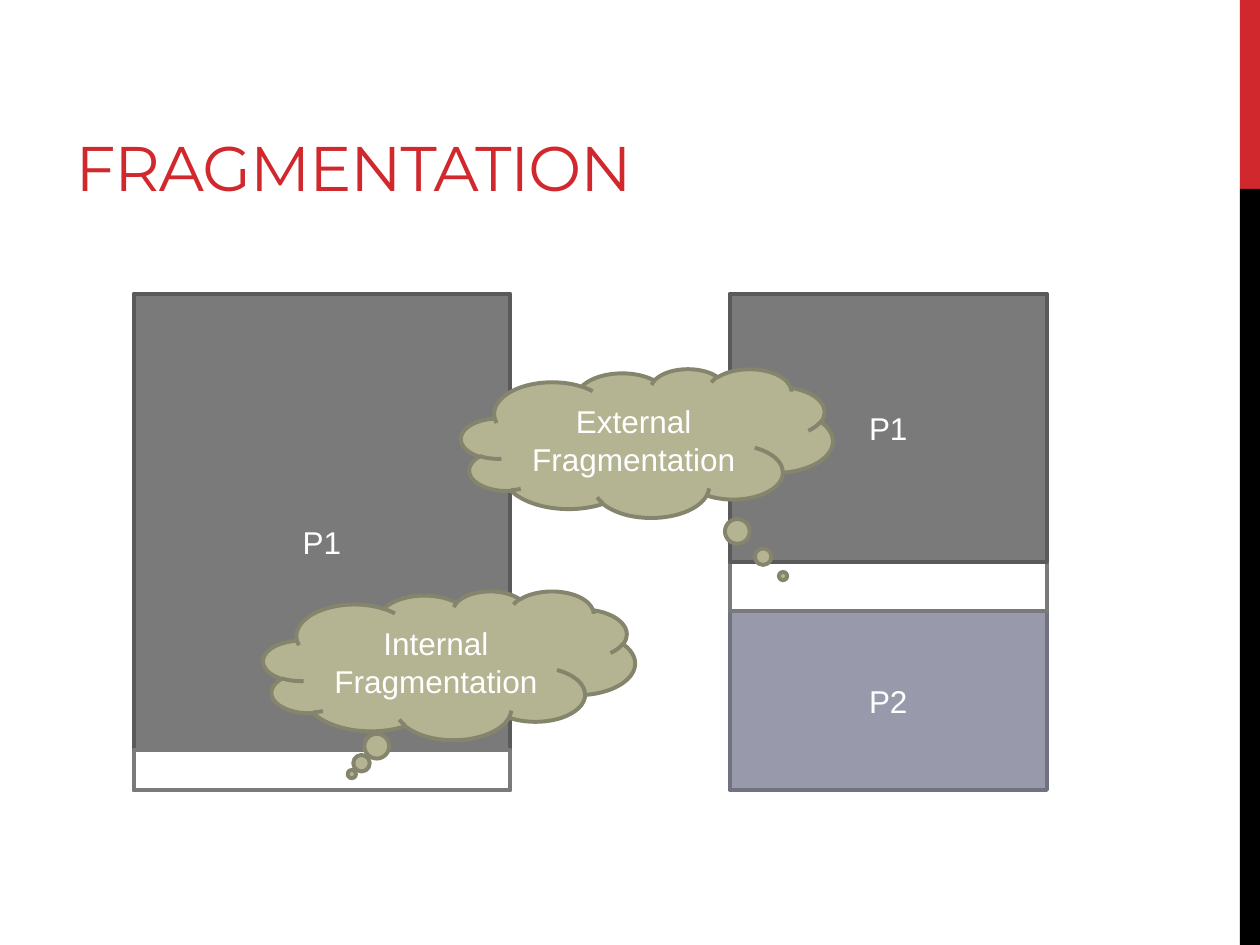
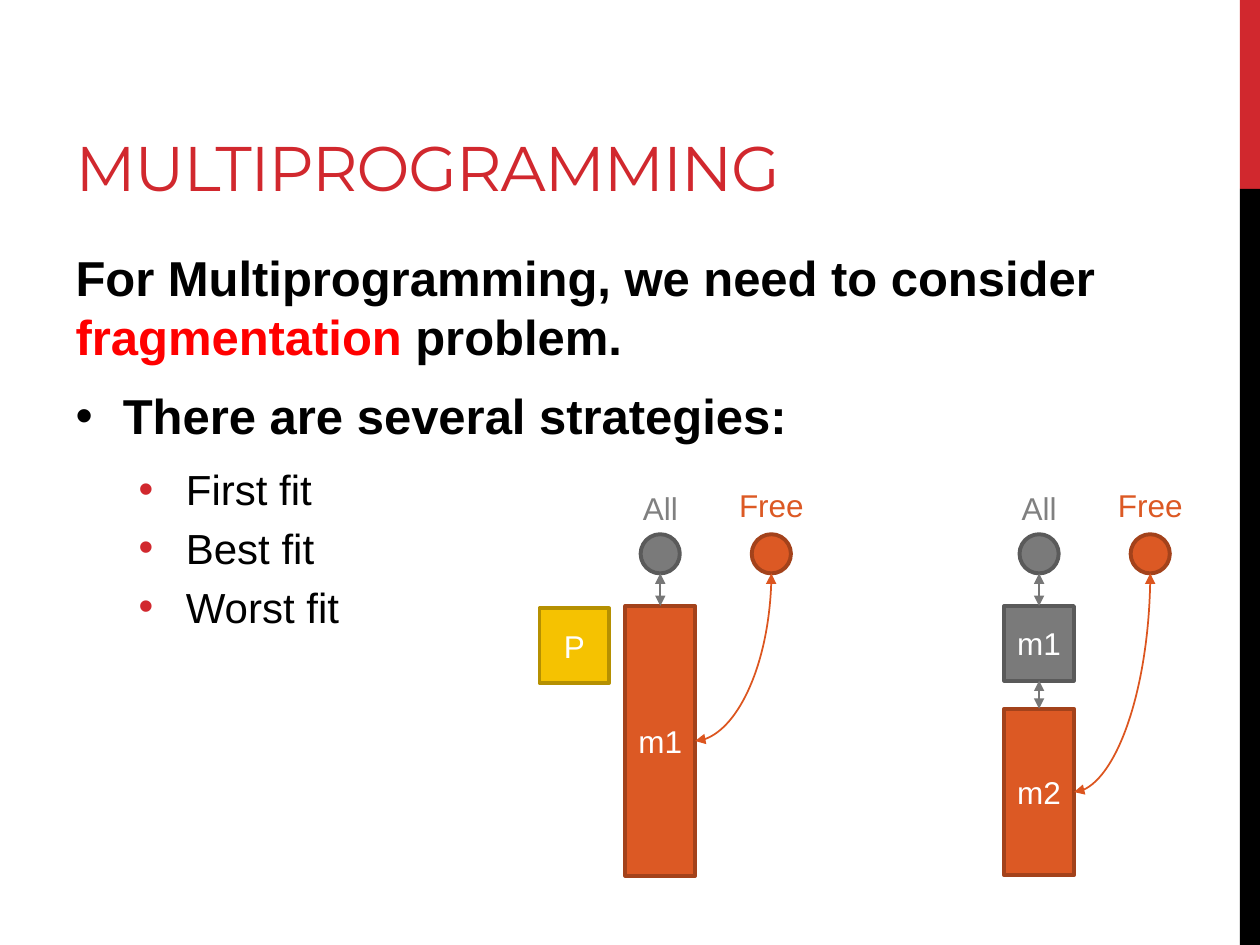
from dataclasses import dataclass
from typing import Any, NamedTuple

from lxml import etree
from pptx import Presentation
from pptx.dml.color import RGBColor
from pptx.enum import shapes as kinds, text as txt
from pptx.oxml.ns import qn
from pptx.util import Pt

# Colours and fonts
RED = RGBColor(0xD1, 0x28, 0x2E)
ALERT = RGBColor(0xFF, 0x00, 0x00)
BLACK = RGBColor(0x00, 0x00, 0x00)
WHITE = RGBColor(0xFF, 0xFF, 0xFF)
GREY = RGBColor(0x7A, 0x7A, 0x7A)
DARK_GREY = RGBColor(0x5A, 0x5A, 0x5A)
ARROW_GREY = RGBColor(0x77, 0x77, 0x77)
LABEL_GREY = RGBColor(0x80, 0x80, 0x80)
ORANGE = RGBColor(0xDC, 0x59, 0x24)
DARK_ORANGE = RGBColor(0xA3, 0x42, 0x1B)
ARROW_ORANGE = RGBColor(0xDC, 0x55, 0x1F)
HEADING_FONT, BODY_FONT = "Montserrat", "Arial"


class Paint(NamedTuple):
    fill: RGBColor
    line: RGBColor | None = None


USED = Paint(GREY, DARK_GREY)
FREE = Paint(ORANGE, DARK_ORANGE)
HOLE = Paint(WHITE, GREY)
THOUGHT = Paint(RGBColor(0xB4, 0xB3, 0x92), RGBColor(0x85, 0x84, 0x6C))
SECOND = Paint(RGBColor(0x98, 0x9A, 0xAC), RGBColor(0x70, 0x72, 0x7F))
PROCESS = Paint(RGBColor(0xF5, 0xC2, 0x01), RGBColor(0xB5, 0x90, 0x01))


@dataclass
class Box:
    """A filled shape; lengths in points."""
    left: float
    top: float
    width: float
    height: float
    paint: Paint
    label: str = ""
    kind: Any = kinds.MSO_SHAPE.RECTANGLE
    tail: tuple[float, ...] = ()


class Block(NamedTuple):
    label: str
    top: float
    height: float
    paint: Paint


class Item(NamedTuple):
    runs: list[tuple[str, RGBColor]]
    size: float
    bold: bool
    level: int = 0
    margin: float = 0
    bullet: RGBColor | None = None
    after: float = 0


# Drawing helpers
def apply(target: Any, values: dict[str, Any]) -> None:
    for key, value in values.items():
        setattr(target, key, value)


def add_run(paragraph: Any, words: str, color: RGBColor, size: float = 18,
            bold: bool = False, name: str = BODY_FONT) -> Any:
    run = paragraph.add_run()
    run.text = words
    apply(run.font, {"name": name, "size": Pt(size), "bold": bold})
    run.font.color.rgb = color
    return run


def add_box(parent: Any, box: Box) -> Any:
    shape = parent.add_shape(box.kind, Pt(box.left), Pt(box.top), Pt(box.width), Pt(box.height))
    shape.shadow.inherit = False
    shape.fill.solid()
    shape.fill.fore_color.rgb = box.paint.fill
    if box.paint.line is None:
        shape.line.fill.background()
    else:
        shape.line.color.rgb = box.paint.line
        shape.line.width = Pt(2.25)
    for index, value in enumerate(box.tail):
        shape.adjustments[index] = value
    if box.label:
        frame = shape.text_frame
        apply(frame, {"word_wrap": True, "vertical_anchor": txt.MSO_ANCHOR.MIDDLE})
        frame.paragraphs[0].alignment = txt.PP_ALIGN.CENTER
        add_run(frame.paragraphs[0], box.label, WHITE)
    return shape


def add_arrow(parent: Any, start: tuple[float, float], end: tuple[float, float],
              color: RGBColor, curved: bool = False) -> None:
    """Two-headed arrow; a curved one leaves downwards and arrives leftwards."""
    kind = kinds.MSO_CONNECTOR.STRAIGHT
    if curved:  # frame as it lies before its quarter turn
        kind = kinds.MSO_CONNECTOR.CURVE
        mid_x, mid_y = (start[0] + end[0]) / 2, (start[1] + end[1]) / 2
        half_w, half_h = abs(end[1] - start[1]) / 2, abs(end[0] - start[0]) / 2
        start, end = (mid_x - half_w, mid_y - half_h), (mid_x + half_w, mid_y + half_h)
    arrow = parent.add_connector(kind, *(Pt(v) for v in (*start, *end)))
    arrow.line.color.rgb = color
    arrow.line.width = Pt(1)
    properties = arrow._element.spPr
    if curved:
        properties.find(qn("a:xfrm")).set("rot", "5400000")
        properties.find(qn("a:prstGeom")).set("prst", "curvedConnector2")
    outline = properties.find(qn("a:ln"))
    for tag in ("a:headEnd", "a:tailEnd"):
        etree.SubElement(outline, qn(tag), type="triangle")
    etree.SubElement(properties, qn("a:effectLst"))


def add_label(parent: Any, center: float, top: float, width: float,
              words: str, color: RGBColor) -> None:
    label = parent.add_textbox(Pt(center - width / 2), Pt(top), Pt(width), Pt(29))
    apply(label.text_frame, {"word_wrap": False, "auto_size": txt.MSO_AUTO_SIZE.SHAPE_TO_FIT_TEXT})
    paragraph = label.text_frame.paragraphs[0]
    paragraph.alignment = txt.PP_ALIGN.CENTER
    add_run(paragraph, words, color)


# Shared slide parts
def place(holder: Any, left: float, top: float, width: float, height: float) -> None:
    apply(holder, {"left": Pt(left), "top": Pt(top), "width": Pt(width), "height": Pt(height)})


def add_slide(deck: Any, layout: int, heading: str) -> Any:
    slide = deck.slides.add_slide(deck.slide_layouts[layout])
    title = slide.shapes.title
    place(title, 36, 12, 456, 108)
    apply(title.text_frame, {"vertical_anchor": txt.MSO_ANCHOR.BOTTOM, "word_wrap": True,
                             "auto_size": txt.MSO_AUTO_SIZE.NONE})
    paragraph = title.text_frame.paragraphs[0]
    paragraph.alignment = txt.PP_ALIGN.LEFT
    run = add_run(paragraph, heading, RED, 36, name=HEADING_FONT)
    run.font._element.set("spc", "-60")
    return slide


def add_side_bands(deck: Any, slide: Any) -> None:
    """Draw the edge bands and move them to the master."""
    tree = deck.slide_master.shapes._spTree
    bands = [Box(708.5, 0, 11.5, 108, Paint(RED)), Box(708.5, 108, 11.5, 432, Paint(BLACK))]
    for number, band in enumerate(bands, 101):
        element = add_box(slide.shapes, band)._element
        element.nvSpPr.cNvPr.set("id", str(number))
        tree.append(element)


def fill_body(body: Any, items: list[Item]) -> None:
    place(body, 36, 138, 600, 344)
    frame = body.text_frame
    apply(frame, {"word_wrap": True, "auto_size": txt.MSO_AUTO_SIZE.NONE})
    for index, item in enumerate(items):
        paragraph = frame.add_paragraph() if index else frame.paragraphs[0]
        apply(paragraph, {"level": item.level, "space_after": Pt(item.after)})
        for words, color in item.runs:
            add_run(paragraph, words, color, item.size, item.bold)
        properties = paragraph._p.get_or_add_pPr()
        properties.set("marL", str(Pt(item.margin)))
        properties.set("indent", str(Pt(-27 if item.bullet is not None else 0)))
        if item.bullet is None:
            etree.SubElement(properties, qn("a:buNone"))
            continue
        color_tag = etree.SubElement(properties, qn("a:buClr"))
        etree.SubElement(color_tag, qn("a:srgbClr"), val=str(item.bullet))
        etree.SubElement(properties, qn("a:buFont"), typeface=BODY_FONT)
        etree.SubElement(properties, qn("a:buChar"), char="•")


def add_memory_lists(slide: Any, center: float, blocks: list[Block]) -> None:
    """List heads, the chained blocks below them and the link to the free block."""
    parts = slide.shapes.add_group_shape().shapes
    free_center, head_top, size, width = center + 63.5, 305.3, 22.4, 39.8
    heads = [(center, USED, "All", LABEL_GREY, 275.8, 34.6),
             (free_center, FREE, "Free", ORANGE, 274.3, 51.8)]
    for x, paint, words, color, label_top, label_width in heads:
        add_box(parts, Box(x - size / 2, head_top, size, size, paint, kind=kinds.MSO_SHAPE.OVAL))
        add_label(parts, x, label_top, label_width, words, color)
    link_top = head_top + size
    for block in blocks:
        add_box(parts, Box(center - width / 2, block.top, width, block.height,
                           block.paint, block.label))
        add_arrow(parts, (center, link_top), (center, block.top), ARROW_GREY)
        link_top = block.top + block.height
    last = blocks[-1]
    add_arrow(parts, (free_center, head_top + size),
              (center + width / 2, last.top + last.height / 2), ARROW_ORANGE, curved=True)


deck = Presentation()
deck.slide_width, deck.slide_height = Pt(720), Pt(540)

# Slide 1: internal and external fragmentation
fragmentation = add_slide(deck, 5, "FRAGMENTATION")
add_side_bands(deck, fragmentation)
CLOUD = kinds.MSO_SHAPE.CLOUD_CALLOUT
INNER, OUTER = (76.3, 215.3), (416.9, 181.4)  # left and width of each memory
for left, top, width, height, paint, label in [
    (INNER[0], 167.8, INNER[1], 283.6, USED, "P1"),
    (INNER[0], 428.5, INNER[1], 22.7, HOLE, ""),
]:
    add_box(fragmentation.shapes, Box(left, top, width, height, paint, label))
add_box(fragmentation.shapes, Box(150.5, 337.7, 212.4, 85, THOUGHT, "Internal Fragmentation",
                                  CLOUD, (-0.262, 0.731)))
for top, height, paint, label in [(349.2, 102.2, SECOND, "P2"), (270, 79.2, HOLE, ""),
                                  (167.8, 153.4, USED, "P1")]:
    add_box(fragmentation.shapes, Box(OUTER[0], top, OUTER[1], height, paint, label))
add_box(fragmentation.shapes, Box(263.5, 210.7, 212.4, 85, THOUGHT, "External Fragmentation",
                                  CLOUD, (0.366, 0.894)))

# Slide 2: placement strategies and the memory lists
multiprogramming = add_slide(deck, 1, "MULTIPROGRAMMING")
fill_body(multiprogramming.placeholders[1], [
    Item([("For Multiprogramming, we need to consider ", BLACK), ("fragmentation", ALERT),
          (" problem.", BLACK)], 28, True, after=6),
    Item([("There are several strategies:", BLACK)], 28, True, margin=27, bullet=BLACK, after=6),
    *(Item([(strategy, BLACK)], 24, False, 1, 63, RED)
      for strategy in ("First fit", "Best fit", "Worst fit")),
])
add_memory_lists(multiprogramming, 377.3, [Block("m1", 346.3, 154.2, FREE)])
add_memory_lists(multiprogramming, 593.8, [Block("m1", 346.3, 42.6, USED),
                                           Block("m2", 405, 95.2, FREE)])
add_box(multiprogramming.shapes, Box(308.3, 347.6, 39.8, 42.6, PROCESS, "P"))

deck.save("out.pptx")
